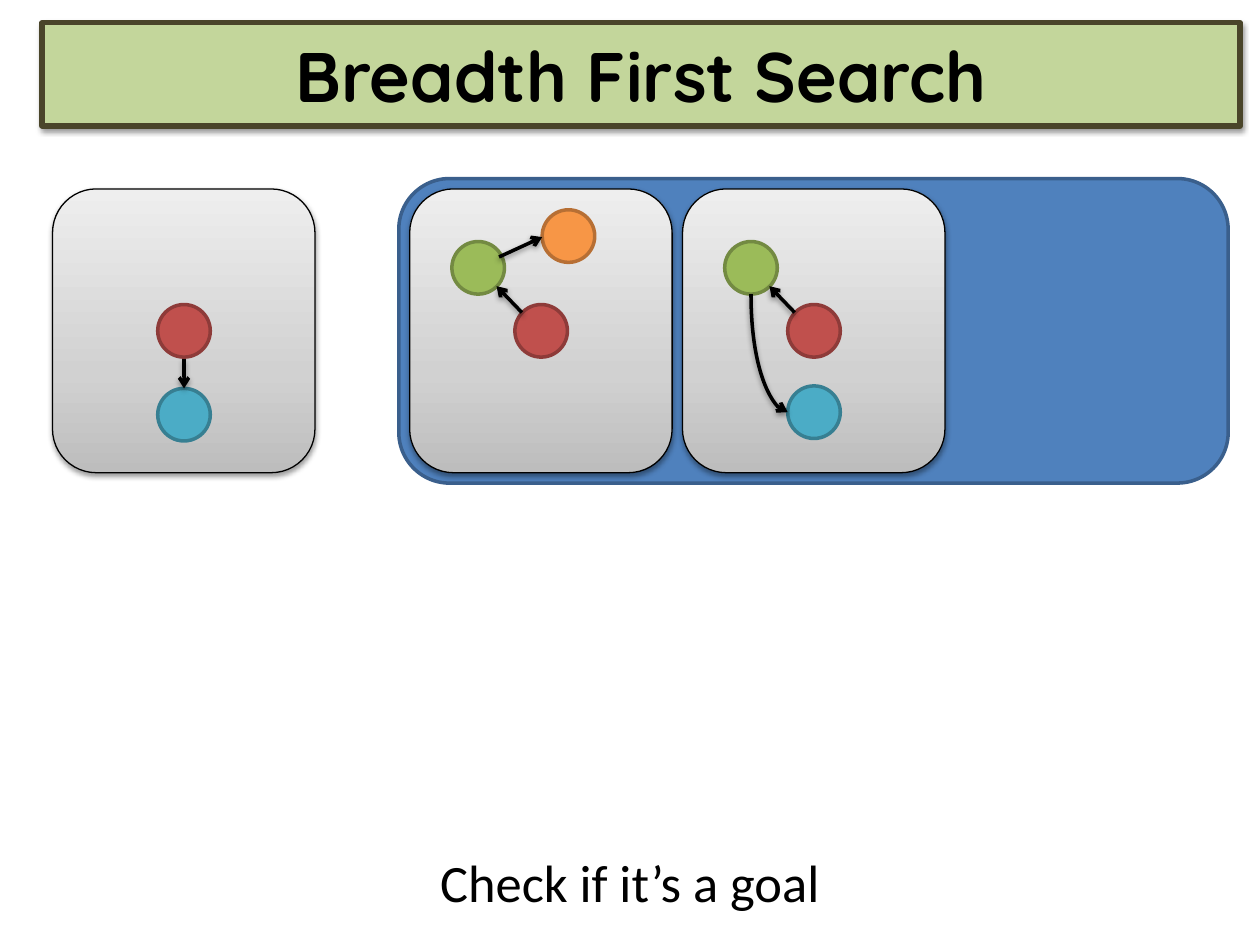
from lxml import etree
from pptx import Presentation
from pptx.dml.color import RGBColor
from pptx.enum.shapes import MSO_CONNECTOR, MSO_SHAPE
from pptx.enum.text import MSO_ANCHOR, MSO_AUTO_SIZE, PP_ALIGN
from pptx.oxml.ns import qn
from pptx.util import Cm, Pt

COLORS = {
    "black": "000000", "board": "4F81BD", "rim": "3A5F8C",
    "banner": "C3D69B", "frame": "4A452A",
    "dark": "BDBDBD", "mid": "D1D1D1", "light": "EEEEEE",
}
# Node name: (fill, outline)
NODES = {
    "red": ("C0504D", "8E3B39"),
    "green": ("9BBB59", "738A42"),
    "orange": ("F79646", "B76F34"),
    "blue": ("4BACC6", "377F92"),
}
DOT = 1.06
CARD = (5.29, 5.72)
TOP = 3.81

# Node corners and arrow ends in cm from the card's corner
RED = ("red", 2.12, 2.33)
GREEN = ("green", 0.85, 1.06)
BACK = (2.26, 2.49, 1.75, 1.96)
CARDS = [
    (1.06, [RED, ("blue", 2.12, 4.02)], [(2.65, 3.43, 2.65, 4.02)], []),
    (8.26, [RED, GREEN, ("orange", 2.67, 0.42)],
     [BACK, (1.8, 1.37, 2.67, 0.97)], []),
    (13.76, [RED, GREEN, ("blue", 2.12, 3.97)],
     [BACK], [(1.38, 2.12, 2.12, 4.5)]),
]


def rgb(name):
    return RGBColor.from_string(COLORS.get(name, name))


def add(parent, tag, **attrs):
    """Append an a: element with the given attributes."""
    node = etree.SubElement(parent, qn("a:" + tag))
    for key, value in attrs.items():
        node.set(key, str(value))
    return node


def shade(props):
    """Give shape properties a soft shadow below."""
    effects = props.find(qn("a:effectLst"))
    if effects is None:
        effects = add(props, "effectLst")
    outer = add(effects, "outerShdw", blurRad=Pt(3.1), dist=Pt(1.6),
                dir=90 * 60000, rotWithShape=0)
    color = add(outer, "srgbClr", val=COLORS["black"])
    add(color, "alpha", val=38000)


def draw(slide, kind, box, fill, line, width, shadow=False):
    shape = slide.shapes.add_shape(kind, *map(Cm, box))
    if fill:
        shape.fill.solid()
        shape.fill.fore_color.rgb = rgb(fill)
    shape.line.color.rgb = rgb(line)
    shape.line.width = Pt(width)
    shape.shadow.inherit = False
    if shadow:
        shade(shape._element.spPr)
    return shape


def write(shape, text, size, font, bold=False, color="black"):
    frame = shape.text_frame
    frame.word_wrap = True
    par = frame.paragraphs[0]
    par.alignment = PP_ALIGN.CENTER
    run = par.add_run()
    run.text = text
    run.font.size = Pt(size)
    run.font.name = font
    run.font.bold = bold
    run.font.color.rgb = rgb(color)
    return frame


def link(slide, ends, kind=MSO_CONNECTOR.STRAIGHT):
    """Add a black arrow between two points."""
    line = slide.shapes.add_connector(kind, *map(Cm, ends))
    line.line.color.rgb = rgb("black")
    line.line.width = Pt(2)
    add(line.line._get_or_add_ln(), "tailEnd", type="arrow")
    shade(line._element.spPr)
    return line


def bend(slide, ends):
    """Add an arrow that leaves downward and arrives rightward."""
    x1, y1, x2, y2 = ends
    mid_x, mid_y = (x1 + x2) / 2, (y1 + y2) / 2
    half_w, half_h = (x2 - x1) / 2, (y2 - y1) / 2
    # These ends land on the wanted points after a 270 degree turn
    turned = (mid_x + half_h, mid_y - half_w,
              mid_x - half_h, mid_y + half_w)
    line = link(slide, turned, MSO_CONNECTOR.CURVE)
    props = line._element.spPr
    props.find(qn("a:xfrm")).set("rot", str(270 * 60000))
    props.find(qn("a:prstGeom")).set("prst", "curvedConnector2")


def blend(shape):
    """Fill a shape with grey, dark at the bottom to light at the top."""
    props = shape._element.spPr
    grad = add(props, "gradFill", rotWithShape=1)
    stops = add(grad, "gsLst")
    for place, name in ((0, "dark"), (35, "mid"), (100, "light")):
        stop = add(stops, "gs", pos=place * 1000)
        add(stop, "srgbClr", val=COLORS[name])
    add(grad, "lin", ang=270 * 60000, scaled=0)
    props.find(qn("a:prstGeom")).addnext(grad)


def card(slide, left, top, nodes, arrows, curves):
    def shift(ends):
        x1, y1, x2, y2 = ends
        return left + x1, top + y1, left + x2, top + y2

    panel = draw(slide, MSO_SHAPE.ROUNDED_RECTANGLE, (left, top, *CARD),
                 None, "black", 0.75, shadow=True)
    blend(panel)
    for name, x, y in nodes:
        draw(slide, MSO_SHAPE.OVAL, (left + x, top + y, DOT, DOT),
             *NODES[name], 2)
    for ends in arrows:
        link(slide, shift(ends))
    for ends in curves:
        bend(slide, shift(ends))


def board(slide, box):
    draw(slide, MSO_SHAPE.ROUNDED_RECTANGLE, box, "board", "rim", 2)


def note(slide, box):
    frame = write(slide.shapes.add_textbox(*map(Cm, box)),
                  "Check if it’s a goal", size=30, font="Calibri")
    frame.auto_size = MSO_AUTO_SIZE.SHAPE_TO_FIT_TEXT


def title(slide, box):
    shape = draw(slide, MSO_SHAPE.RECTANGLE, box, "banner", "frame", 3,
                 shadow=True)
    frame = write(shape, "Breadth First Search", size=40,
                  font="Quicksand", bold=True)
    frame.vertical_anchor = MSO_ANCHOR.MIDDLE


def main():
    deck = Presentation()
    deck.slide_width, deck.slide_height = Cm(25.4), Cm(19.05)
    slide = deck.slides.add_slide(deck.slide_layouts[6])
    board(slide, (8.04, 3.6, 16.72, 6.14))
    for left, nodes, arrows, curves in CARDS:
        card(slide, left, TOP, nodes, arrows, curves)
    note(slide, (0, 17.02, 25.4, 1.54))
    title(slide, (0.85, 0.46, 24.15, 2.08))
    deck.save("out.pptx")


if __name__ == "__main__":
    main()
